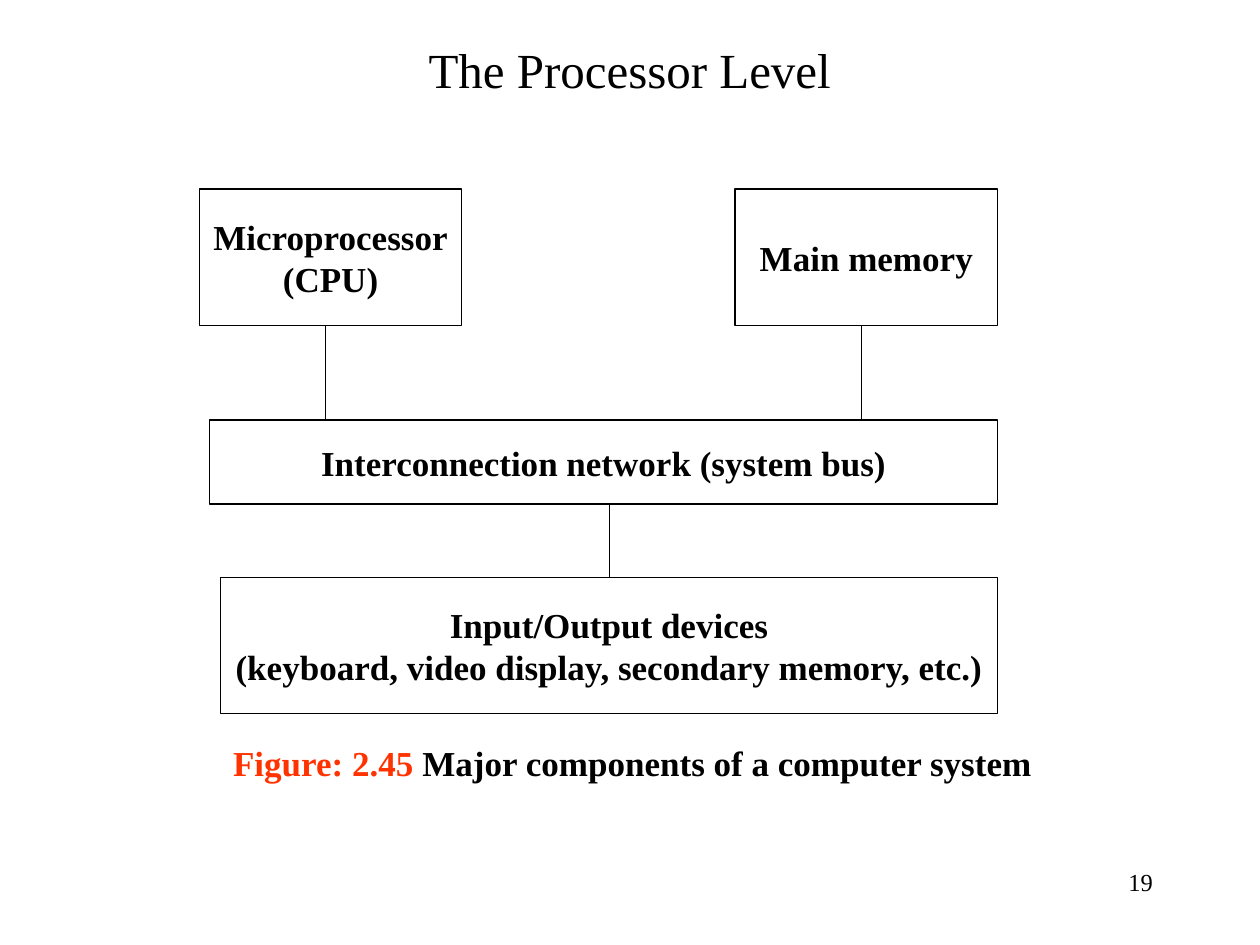
"""Build the slide on the major components of a computer system."""
from lxml import etree
from pptx import Presentation
from pptx.dml.color import RGBColor
from pptx.enum.shapes import MSO_CONNECTOR, MSO_SHAPE
from pptx.enum.text import MSO_ANCHOR, PP_ALIGN
from pptx.oxml.ns import qn
from pptx.util import Cm, Pt

LEFT, MID, RIGHT = PP_ALIGN.LEFT, PP_ALIGN.CENTER, PP_ALIGN.RIGHT
TOP, CENTRE = MSO_ANCHOR.TOP, MSO_ANCHOR.MIDDLE
RECT, LINE = MSO_SHAPE.RECTANGLE, MSO_CONNECTOR.STRAIGHT
FONT = "Times New Roman"
HUES = {"ink": "000000", "paper": "FFFFFF", "label": "FF3300"}

ROW, BUS, DEV = 3.81, 8.47, 11.64
TALL, WIDE = 2.75, 5.29
BOXES = [
    (4.02, ROW, WIDE, TALL, ["Microprocessor", "(CPU)"]),
    (14.82, ROW, WIDE, TALL, ["Main memory"]),
    (4.23, BUS, 15.88, 1.69, ["Interconnection network (system bus)"]),
    (4.45, DEV, 15.66, TALL,
     ["Input/Output devices", "(keyboard, video display, secondary memory, etc.)"]),
]
LINKS = [(6.56, ROW + TALL, BUS), (17.36, ROW + TALL, BUS), (12.28, BUS + 1.69, DEV)]


def tint(name):
    """Return the named colour."""
    return RGBColor.from_string(HUES[name])


def write(frame, paras, size, align, anchor, bold=False):
    """Fill a text frame with paragraphs, each a list of (text, hue) runs."""
    frame.vertical_anchor = anchor
    for i, runs in enumerate(paras):
        para = frame.paragraphs[0] if i == 0 else frame.add_paragraph()
        para.alignment = align
        for text, hue in runs:
            run = para.add_run()
            run.text = text
            run.font.name, run.font.size, run.font.bold = FONT, Pt(size), bold
            run.font.color.rgb = tint(hue)


def add_text(slide, spot, runs, size, align, anchor=TOP, bold=False):
    """Add a wrapped text box of one paragraph."""
    frame = slide.shapes.add_textbox(*map(Cm, spot)).text_frame
    frame.word_wrap = True
    write(frame, [runs], size, align, anchor, bold)


def add_box(slide, x, y, w, h, lines):
    """Add an outlined block with centred bold lines."""
    box = slide.shapes.add_shape(RECT, Cm(x), Cm(y), Cm(w), Cm(h))
    box.shadow.inherit = False
    box.fill.solid()
    box.fill.fore_color.rgb = tint("paper")
    box.line.color.rgb = tint("ink")
    box.line.width = Pt(0.75)
    box.text_frame.word_wrap = False
    write(box.text_frame, [[(line, "ink")] for line in lines], 20, MID, CENTRE, True)


def add_link(slide, x, top, end):
    """Add a vertical line between two blocks."""
    link = slide.shapes.add_connector(LINE, Cm(x), Cm(top), Cm(x), Cm(end))
    link.line.color.rgb = tint("ink")
    link.line.width = Pt(0.75)
    etree.SubElement(link._element.spPr, qn("a:effectLst"))


def main():
    """Build and save the slide."""
    deck = Presentation()
    deck.slide_width, deck.slide_height = Cm(25.4), Cm(19.05)
    slide = deck.slides.add_slide(deck.slide_layouts[6])
    add_text(slide, (18.2, 17.36, WIDE, 1.27), [("19", "ink")], 14, RIGHT)
    add_text(slide, (1.9, 0.64, 21.59, 1.48), [("The Processor Level", "ink")],
             28, MID, CENTRE)
    for box in BOXES:
        add_box(slide, *box)
    for link in LINKS:
        add_link(slide, *link)
    add_text(slide, (4.45, 14.82, 16.72, 1.12),
             [("Figure: 2.45 ", "label"), ("Major components of a computer system", "ink")],
             20, LEFT, bold=True)
    deck.save("out.pptx")


if __name__ == "__main__":
    main()
